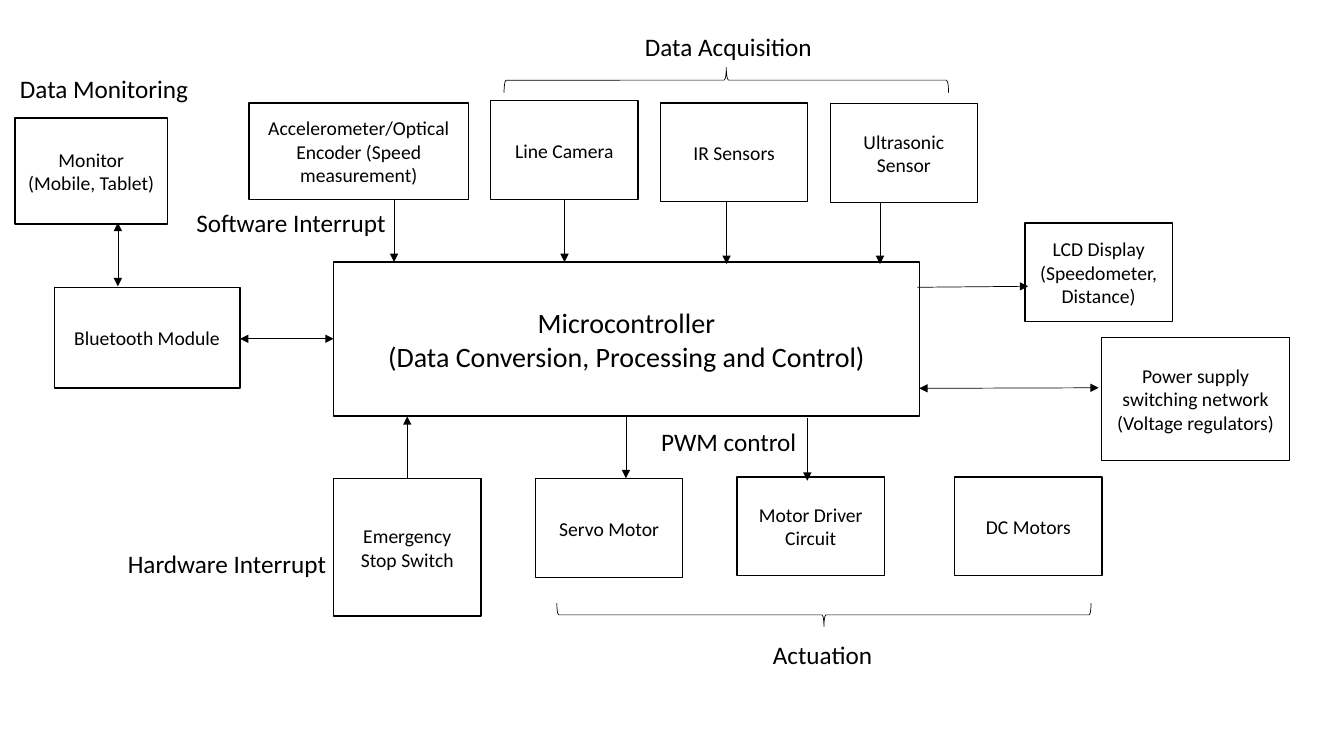
from lxml.etree import SubElement
from pptx import Presentation
from pptx.dml.color import RGBColor
from pptx.enum.shapes import MSO_CONNECTOR as Connector, MSO_SHAPE as Preset
from pptx.enum.text import MSO_ANCHOR as Anchor, PP_ALIGN as Align
from pptx.oxml.ns import qn
from pptx.util import Pt


def color(hex_string):
    """Return the colour for a hex string."""
    return RGBColor.from_string(hex_string)


class Diagram:
    """Hold the style and the current slide of a block diagram."""

    font, ink, paper = "Calibri", "000000", "FFFFFF"
    box_line, thin_line = 1, 0.5
    box_size, label_size = 14, 18

    def __init__(self, slide):
        """Keep the slide to draw on."""
        self.slide = slide

    def set_text(self, text_frame, text, size, align):
        """Set the text and format its runs."""
        text_frame.text = text
        for paragraph in text_frame.paragraphs:
            paragraph.alignment = align
            for run in paragraph.runs:
                run.font.name = self.font
                run.font.size = Pt(size)
                run.font.color.rgb = color(self.ink)

    def stroke(self, line, width):
        """Format a line or an outline."""
        line.color.rgb = color(self.ink)
        line.width = Pt(width)

    def shape(self, preset, bounds, line_width):
        """Add an outlined preset shape without a shadow."""
        shape = self.slide.shapes.add_shape(preset, *map(Pt, bounds))
        shape.shadow.inherit = False
        self.stroke(shape.line, line_width)
        return shape

    def box(self, text, bounds, size=box_size):
        """Add a block with centred text."""
        shape = self.shape(Preset.RECTANGLE, bounds, self.box_line)
        shape.fill.solid()
        shape.fill.fore_color.rgb = color(self.paper)
        shape.text_frame.word_wrap = True
        shape.text_frame.vertical_anchor = Anchor.MIDDLE
        self.set_text(shape.text_frame, text, size, Align.CENTER)

    def brace(self, bounds, rotation):
        """Add a rotated brace around a group of blocks."""
        shape = self.shape(Preset.LEFT_BRACE, bounds, self.thin_line)
        shape.fill.background()
        shape.rotation = rotation

    def label(self, text, left, top, width):
        """Add a one-line label."""
        shape = self.slide.shapes.add_textbox(Pt(left), Pt(top), Pt(width), Pt(29))
        shape.text_frame.word_wrap = False
        self.set_text(shape.text_frame, text, self.label_size, Align.LEFT)

    def arrow(self, start, end, ends=("tailEnd",)):
        """Add an arrow with a triangle at each named end."""
        connector = self.slide.shapes.add_connector(
            Connector.STRAIGHT, *map(Pt, start + end))
        self.stroke(connector.line, self.thin_line)
        properties = connector._element.spPr
        for name in ends:
            SubElement(properties.find(qn("a:ln")), qn(f"a:{name}"), type="triangle")
        SubElement(properties, qn("a:effectLst"))

    def double_arrow(self, start, end):
        """Add an arrow that points both ways."""
        self.arrow(start, end, ("headEnd", "tailEnd"))


presentation = Presentation()
presentation.slide_width, presentation.slide_height = Pt(960), Pt(540)
diagram = Diagram(presentation.slides.add_slide(presentation.slide_layouts[6]))

unit_width, unit_height = 105.2, 70.6
units = [
    ("Line Camera", 350.5, 72),
    ("IR Sensors", 471.8, 73.5),
    ("Ultrasonic Sensor", 593, 74),
    ("LCD Display (Speedometer, Distance)", 732.2, 159.2),
    ("Servo Motor", 382.5, 342),
    ("Motor Driver Circuit", 526.5, 340.6),
    ("DC Motors", 682, 340.6),
]
for text, left, top in units:
    diagram.box(text, (left, top, unit_width, unit_height))

blocks = [
    ("Accelerometer/Optical Encoder (Speed measurement)", (177.8, 73.5, 157, 69)),
    ("Monitor (Mobile, Tablet)", (10.8, 84.4, 108.8, 75.6)),
    ("Bluetooth Module", (38.9, 205.2, 132.5, 72)),
    ("Power supply switching network (Voltage regulators)", (787, 241.2, 134, 87.8)),
    ("Emergency Stop Switch", (238.3, 342, 105.2, 98)),
]
for text, bounds in blocks:
    diagram.box(text, bounds)
diagram.box("Microcontroller\n(Data Conversion, Processing and Control)",
            (238.3, 187.2, 418.3, 110), size=20)

arrow_length = 44.6
for x, top in [(281.5, 142.6), (403.2, 142.6), (519, 144), (628.6, 144),
               (447.1, 297), (576.7, 298.8)]:
    diagram.arrow((x, top), (x, top + arrow_length))
diagram.arrow((290.9, 342), (290.9, 297.4))
diagram.arrow((655.2, 205.2), (734.4, 204.5))
diagram.double_arrow((238.3, 242), (171.4, 242))
diagram.double_arrow((784.8, 277), (656.6, 277.4))
diagram.double_arrow((84.2, 204.5), (84.2, 159.1))

diagram.brace((509.8, -101.5, 18, 317.5), 90)
diagram.brace((580.3, 248.4, 16.6, 381.6), 270)

labels = [
    ("Data Acquisition", 453.6, 18.7, 135.4),
    ("Data Monitoring", 7.2, 49, 136),
    ("Software Interrupt", 133.2, 144.7, 152),
    ("Hardware Interrupt", 84.2, 388, 157.7),
    ("PWM control", 465.1, 301, 112),
    ("Actuation", 545, 452.9, 86.4),
]
for text, left, top, width in labels:
    diagram.label(text, left, top, width)

presentation.save("out.pptx")
